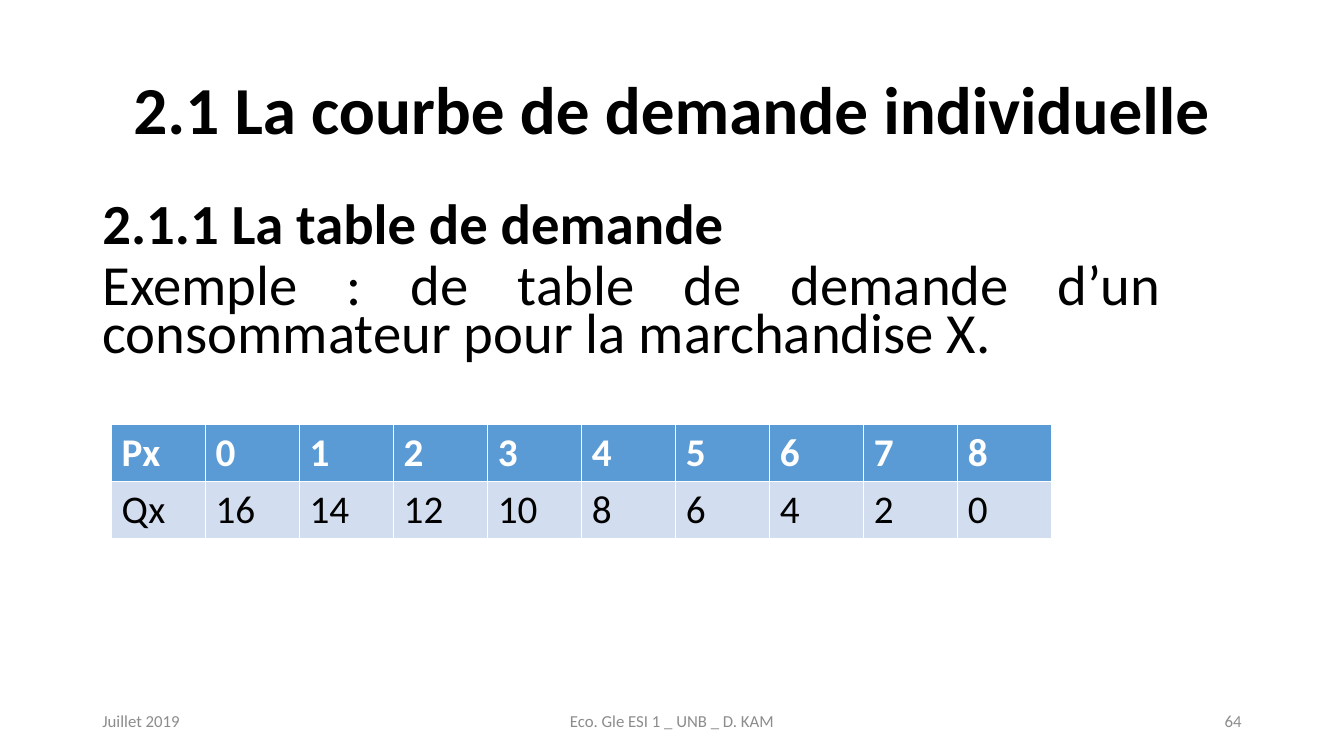
"""Build the slide on the individual demand curve with its demand table."""
import pptx
import pptx.util
import pptx.dml.color
import pptx.enum.text

Cm, Pt = pptx.util.Cm, pptx.util.Pt
ALIGN, ANCHOR = pptx.enum.text.PP_ALIGN, pptx.enum.text.MSO_ANCHOR
COLORS = {"text": "000000", "header": "5B9BD5", "row": "D2DEEF",
          "header_text": "FFFFFF", "footer": "8C8C8C"}


def style(p, size, color, bold=False, align=ALIGN.LEFT):
    p.alignment = align
    for r in p.runs:
        r.font.name = "Calibri"
        r.font.size = Pt(size)
        r.font.bold = bold
        r.font.color.rgb = pptx.dml.color.RGBColor.from_string(COLORS[color])


prs = pptx.Presentation()
prs.slide_width, prs.slide_height = Cm(33.87), Cm(19.05)
s = prs.slides.add_slide(prs.slide_layouts[5])

title = s.shapes.title
title.left, title.top, title.width, title.height = Cm(2.33), Cm(1.01), Cm(29.21), Cm(3.68)
tf = title.text_frame
tf.text = "2.1 La courbe de demande individuelle"
tf.vertical_anchor = ANCHOR.MIDDLE
tf.paragraphs[0].line_spacing = 0.9
style(tf.paragraphs[0], 48, "text", True, ALIGN.CENTER)

body = s.shapes.add_textbox(Cm(2.33), Cm(5.07), Cm(27.2), Cm(12.09))
tf = body.text_frame
tf.word_wrap = True
tf.text = ("2.1.1 La table de demande\n"
           "Exemple : de table de demande d’un consommateur pour la marchandise X.")
for i, p in enumerate(tf.paragraphs):
    p.line_spacing = 0.7
    p.space_before = Pt(10 * i)
    style(p, 40.5, "text", i == 0, ALIGN.JUSTIFY)

prices = range(9)
rows = [
    (["Px", *prices], "header", "header_text", True),
    (["Qx", *(16 - 2 * price for price in prices)], "row", "text", False),
]
table = s.shapes.add_table(2, 10, Cm(2.81), Cm(10.69), Cm(23.7), Cm(2.86)).table
for row, (values, fill, color, bold) in enumerate(rows):
    for col, value in enumerate(values):
        cell = table.cell(row, col)
        cell.fill.solid()
        cell.fill.fore_color.rgb = pptx.dml.color.RGBColor.from_string(COLORS[fill])
        cell.text_frame.text = str(value)
        style(cell.text_frame.paragraphs[0], 28, color, bold)

footers = [
    ("Juillet 2019", 2.33, 7.62, ALIGN.LEFT),
    ("Eco. Gle ESI 1 _ UNB _ D. KAM", 11.22, 11.43, ALIGN.CENTER),
    ("64", 23.92, 7.62, ALIGN.RIGHT),
]
for text, left, width, align in footers:
    tf = s.shapes.add_textbox(Cm(left), Cm(17.66), Cm(width), Cm(1.01)).text_frame
    tf.word_wrap = True
    tf.vertical_anchor = ANCHOR.MIDDLE
    tf.text = text
    style(tf.paragraphs[0], 12, "footer", align=align)

prs.save("out.pptx")
